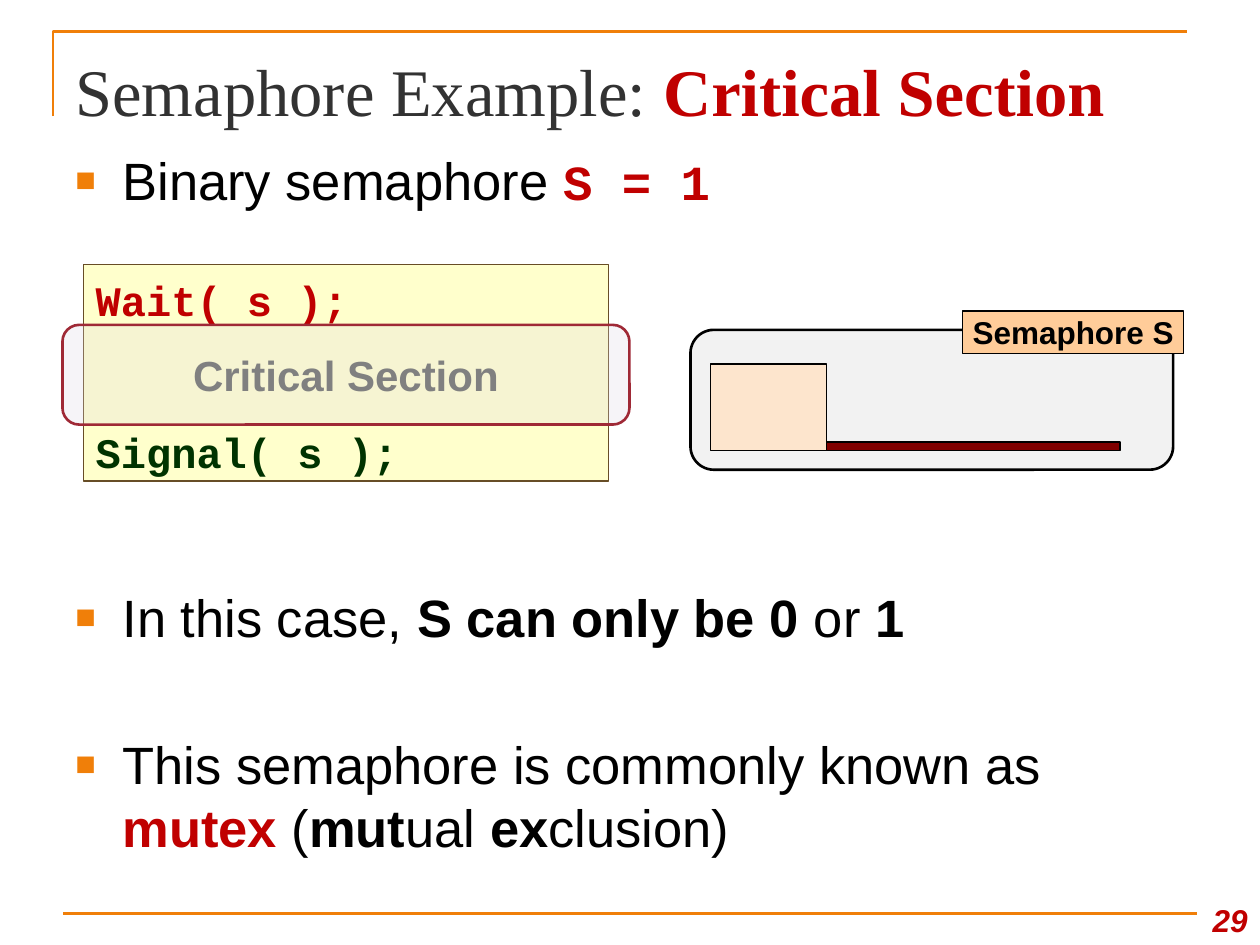
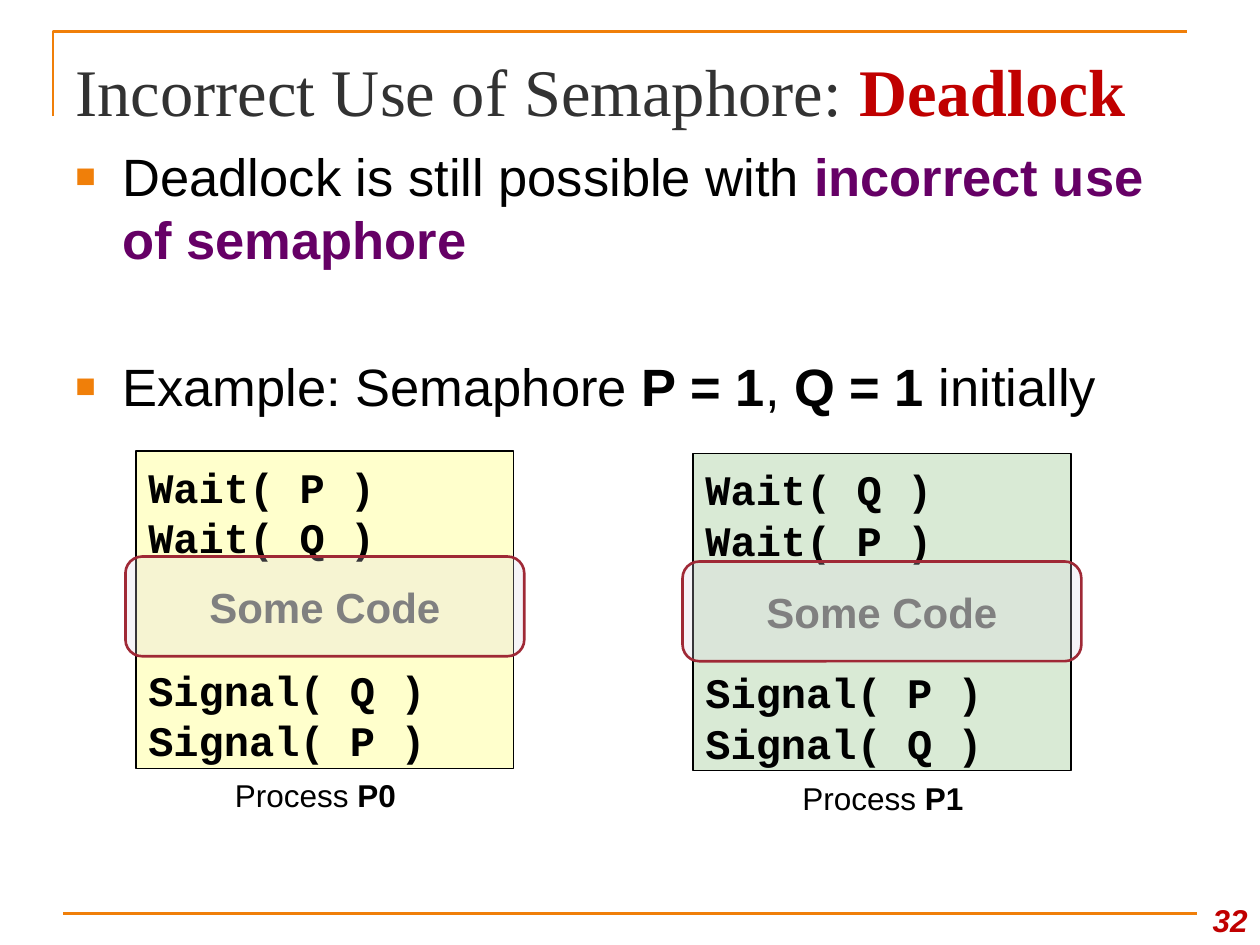
import pptx
import pptx.dml.color
import pptx.enum.shapes
import pptx.enum.text
import pptx.oxml
import pptx.oxml.ns
import pptx.util
from lxml import etree
from pptx.util import Cm, Pt

ANCHOR = pptx.enum.text.MSO_ANCHOR
ALIGN = pptx.enum.text.PP_ALIGN
SHAPE = pptx.enum.shapes.MSO_SHAPE

# Shared colours and fonts
ORANGE, RED, PURPLE, GREEN = "F07F09", "C00000", "660066", "003300"
BLACK, TITLE_GREY, LABEL_GREY = "000000", "323232", "808080"
CODE_YELLOW, CODE_GREEN = "FFFFCC", "D9EAD5"
SANS, SERIF, MONO = "Arial", "Times New Roman", "Courier New"
CODE_LINE, CODE_GAP = 29, 58
BOLD = {"bold": True}
RED_BOLD = {"bold": True, "color": RED}


def rgb(value):
    return pptx.dml.color.RGBColor.from_string(value)


def style_font(font, size=None, name=None, color=None, bold=None, italic=None):
    if size:
        font.size = Pt(size)
    if name:
        font.name = name
    if color:
        font.color.rgb = rgb(color)
    if bold is not None:
        font.bold = bold
    if italic is not None:
        font.italic = italic


def write(paragraph, runs, align=ALIGN.LEFT, **base):
    """Fill a paragraph; each run is plain text or (text, font overrides)."""
    paragraph.alignment = align
    style_font(paragraph.font, **base)
    for item in runs:
        text, overrides = (item, {}) if isinstance(item, str) else item
        run = paragraph.add_run()
        run.text = text
        style_font(run.font, **overrides)


def place(shape, box):
    shape.left, shape.top, shape.width, shape.height = (Cm(length) for length in box)


def prepare_frame(shape, anchor=ANCHOR.TOP, top_inset=0.13, wrap=True):
    frame = shape.text_frame
    frame.auto_size = pptx.enum.text.MSO_AUTO_SIZE.NONE
    frame.word_wrap = wrap
    frame.vertical_anchor = anchor
    frame.margin_left = frame.margin_right = Cm(0.25)
    frame.margin_top, frame.margin_bottom = Cm(top_inset), Cm(0.13)
    return frame


def add_text(slide, box, runs, anchor=ANCHOR.TOP, **style):
    frame = prepare_frame(slide.shapes.add_textbox(*map(Cm, box)), anchor)
    write(frame.paragraphs[0], runs, **style)


def add_box(slide, kind, box, fill, line=BLACK, weight=0.75):
    shape = slide.shapes.add_shape(kind, *map(Cm, box))
    shape.shadow.inherit = False
    shape.fill.solid()
    shape.fill.fore_color.rgb = rgb(fill)
    shape.line.color.rgb = rgb(line)
    shape.line.width = Pt(weight)
    return shape


def add_bullet(paragraph):
    properties = paragraph._p.get_or_add_pPr()
    properties.set("marL", str(Cm(0.95)))
    properties.set("indent", str(-Cm(0.95)))
    namespace = pptx.oxml.ns.nsdecls("a")
    for element in (f'<a:buClr {namespace}><a:srgbClr val="{ORANGE}"/></a:buClr>',
                    f'<a:buSzPct {namespace} val="65000"/>',
                    f'<a:buFont {namespace} typeface="{SANS}"/>',
                    f'<a:buChar {namespace} char="■"/>'):
        properties.append(pptx.oxml.parse_xml(element))


def fill_bullets(shape, bullets):
    frame = prepare_frame(shape, top_inset=0.17)
    for index, runs in enumerate(bullets):
        paragraph = frame.add_paragraph() if index else frame.paragraphs[0]
        add_bullet(paragraph)
        paragraph.line_spacing = Pt(36)
        paragraph.space_before = Pt(48 if index else 0)
        write(paragraph, runs, size=30, name=SANS, color=BLACK, bold=False)


def add_frame_lines(slide):
    # Corner bracket above the title
    builder = slide.shapes.build_freeform(Cm(1.07), Cm(2.34))
    builder.add_line_segments([(Cm(1.07), Cm(0.64)), (Cm(23.93), Cm(0.64))], close=False)
    bracket = builder.convert_to_shape()
    bracket.shadow.inherit = False
    bracket.fill.background()
    # Footer rule
    rule = slide.shapes.add_connector(
        pptx.enum.shapes.MSO_CONNECTOR.STRAIGHT, Cm(1.27), Cm(18.42), Cm(24.13), Cm(18.42))
    etree.SubElement(rule._element.spPr, pptx.oxml.ns.qn("a:effectLst"))
    for shape in (bracket, rule):
        shape.line.color.rgb = rgb(ORANGE)
        shape.line.width = Pt(1.5)


def add_content_slide(presentation, title, topic, number, bullets, body_top, body_height):
    slide = presentation.slides.add_slide(presentation.slide_layouts[1])
    add_frame_lines(slide)
    place(slide.shapes.title, (1.27, 0.76, 22.86, 1.98))
    frame = prepare_frame(slide.shapes.title, ANCHOR.BOTTOM)
    write(frame.paragraphs[0], [title, (topic, RED_BOLD)],
          size=38, name=SERIF, color=TITLE_GREY)
    body = slide.placeholders[1]
    place(body, (1.27, body_top, 22.86, body_height))
    fill_bullets(body, bullets)
    add_text(slide, (23.93, 17.78, 1.47, 1.27), [number], ANCHOR.BOTTOM,
             align=ALIGN.RIGHT, size=18, name=SANS, color=RED, bold=True, italic=True)
    return slide


def add_code_block(slide, box, waits, signals, section, section_top, overhang,
                   fill=CODE_YELLOW, line=BLACK, wait_color=BLACK, signal_color=BLACK):
    """Code listing with a translucent section band across its middle."""
    left, top, width, _ = box
    frame = prepare_frame(add_box(slide, SHAPE.RECTANGLE, box, fill, line), top_inset=0.2)
    for index, text in enumerate(waits + signals):
        paragraph = frame.add_paragraph() if index else frame.paragraphs[0]
        paragraph.line_spacing = Pt(CODE_LINE)
        paragraph.space_before = Pt(CODE_GAP if index == len(waits) else 0)
        color = wait_color if index < len(waits) else signal_color
        write(paragraph, [text], size=24, name=MONO, color=color, bold=True)

    band = add_box(slide, SHAPE.ROUNDED_RECTANGLE,
                   (left - overhang, top + section_top, width + 2 * overhang, 2.01),
                   "DFD7E7", "9F2936", 1.5)
    color_element = band.fill._xPr.find(".//" + pptx.oxml.ns.qn("a:srgbClr"))
    etree.SubElement(color_element, pptx.oxml.ns.qn("a:alpha"), val="25000")
    write(prepare_frame(band, ANCHOR.MIDDLE).paragraphs[0], [section], ALIGN.CENTER,
          size=24, name=SANS, color=LABEL_GREY, bold=True)


def add_process(slide, left, top, name, waits, signals, section_top, caption_left, fill):
    add_code_block(slide, (left, top, 7.62, 6.4), waits, signals,
                   "Some Code", section_top, 0.21, fill)
    add_text(slide, (left + caption_left, top + 6.43, 5.72, 1.02),
             ["Process ", (name, BOLD)], align=ALIGN.CENTER,
             size=18, name=SANS, color=BLACK)


def add_semaphore(slide, left, top):
    """Semaphore panel with a name tag, a value box and a queue bar."""
    add_box(slide, SHAPE.ROUNDED_RECTANGLE, (left, top + 0.38, 9.73, 2.82),
            "F2F2F2", weight=1.5)
    tag = add_box(slide, SHAPE.RECTANGLE, (left + 5.49, top, 4.45, 0.86), "FFCC99")
    write(prepare_frame(tag, ANCHOR.MIDDLE, wrap=False).paragraphs[0], ["Semaphore S"],
          ALIGN.CENTER, size=18, name=SANS, color=BLACK, bold=True)
    add_box(slide, SHAPE.RECTANGLE, (left + 0.41, top + 1.07, 2.34, 1.75), "FDE5CD")
    add_box(slide, SHAPE.RECTANGLE, (left + 2.74, top + 2.64, 5.92, 0.18), "800000")


def build_critical_section(presentation):
    slide = add_content_slide(
        presentation, "Semaphore Example: ", "Critical Section", "29",
        [["Binary semaphore ", ("S = 1", {"size": 28, "name": MONO, **RED_BOLD})]],
        2.82, 1.88)
    fill_bullets(slide.shapes.add_textbox(Cm(1.27), Cm(11.63), Cm(22.86), Cm(5.72)), [
        ["In this case, ", ("S can only be 0 ", BOLD), "or", (" 1", BOLD)],
        ["This semaphore is commonly known as ", ("mutex ", RED_BOLD), "(",
         ("mut", BOLD), "ual ", ("ex", BOLD), "clusion)"],
    ])
    add_semaphore(slide, 13.92, 6.27)
    add_code_block(slide, (1.68, 5.33, 10.59, 4.37), ["Wait( s );"], ["Signal( s );"],
                   "Critical Section", 1.22, 0.42, line="674D26",
                   wait_color=RED, signal_color=GREEN)


def build_deadlock(presentation):
    slide = add_content_slide(
        presentation, "Incorrect Use of Semaphore: ", "Deadlock", "32",
        [["Deadlock is still possible with ",
          ("incorrect use of semaphore", {"color": PURPLE, **BOLD})],
         ["Example: Semaphore ", ("P = 1", BOLD), ", ", ("Q = 1", BOLD), " initially"]],
        2.74, 6.35)
    add_process(slide, 2.74, 9.09, "P0", ["Wait( P )", "Wait( Q )"],
                ["Signal( Q )", "Signal( P )"], 2.13, 0.76, CODE_YELLOW)
    add_process(slide, 13.97, 9.14, "P1", ["Wait( Q )", "Wait( P )"],
                ["Signal( P )", "Signal( Q )"], 2.18, 0.97, CODE_GREEN)


def main():
    presentation = pptx.Presentation()
    presentation.slide_width, presentation.slide_height = Cm(25.4), Cm(19.05)
    build_critical_section(presentation)
    build_deadlock(presentation)
    presentation.save("out.pptx")


if __name__ == "__main__":
    main()
